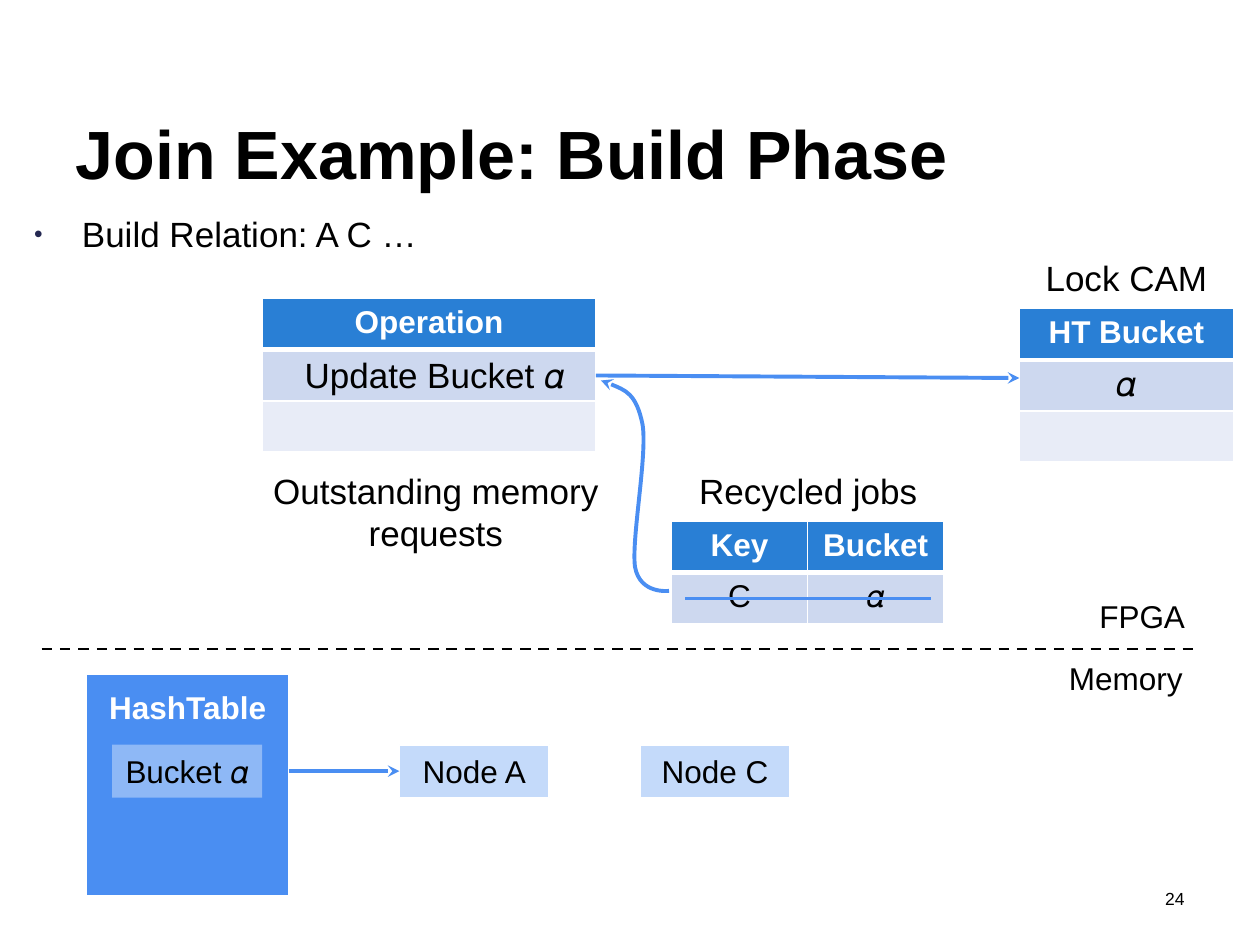
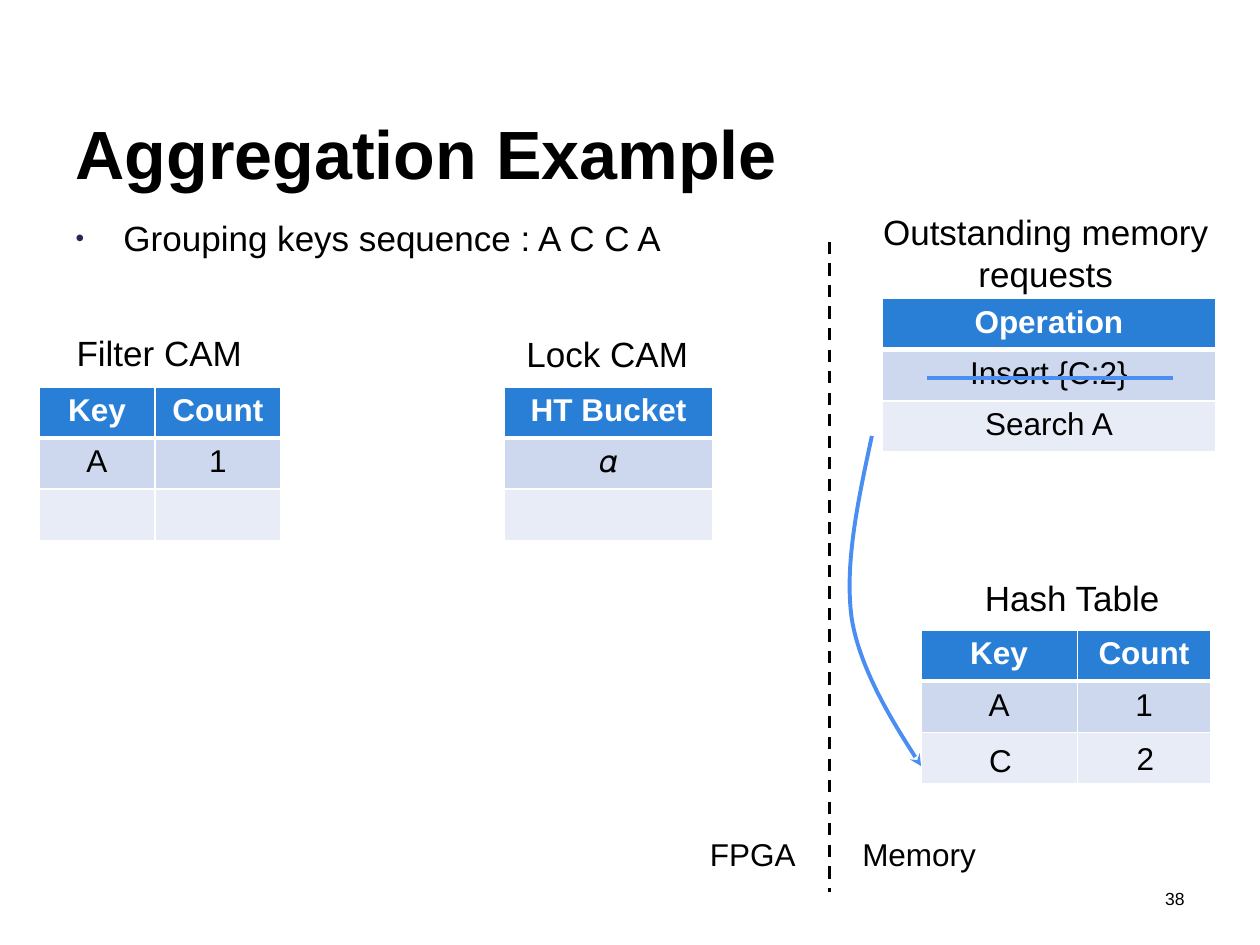
from lxml import etree
from pptx import Presentation
from pptx import util as u
from pptx.dml.color import RGBColor
from pptx.enum import dml, shapes, text
from pptx.oxml.ns import qn

COLORS = {"ink": "000000", "paper": "FFFFFF", "header": "297FD5", "odd": "CDD8EF",
          "even": "E8ECF7", "accent": "4A8EF2", "node": "ACCBF9", "bullet": "242852"}
FONT = "Arial"
ALPHA = "\U0001d6fc"
LEFT, CENTER, RIGHT = text.PP_ALIGN.LEFT, text.PP_ALIGN.CENTER, text.PP_ALIGN.RIGHT

deck = Presentation()
deck.slide_width, deck.slide_height = u.Inches(10), u.Inches(7.5)
# All lengths count grid units: 100 columns by 75 rows of equal squares
UNIT = deck.slide_width / 100


def write(frame, words, size=18, color="ink", bold=False, align=CENTER, anchor=None, inset=None):
    """Put one formatted paragraph into a text frame."""
    if anchor is not None:
        frame.vertical_anchor = anchor
        frame.word_wrap = True
        frame.auto_size = text.MSO_AUTO_SIZE.NONE
    if inset is not None:
        frame.margin_left = frame.margin_right = round(inset * UNIT)
    paragraph = frame.paragraphs[0]
    paragraph.alignment = align
    run = paragraph.add_run()
    run.text = words
    run.font.name, run.font.size, run.font.bold = FONT, u.Pt(size), bold
    run.font.color.rgb = RGBColor.from_string(COLORS[color])
    return paragraph


def draw_line(slide, points, color="accent", width=2.25, dash=False, arrow=False):
    """Join two points with a connector, or more with a chain of Bezier curves."""
    spots = [(round(x * UNIT), round(y * UNIT)) for x, y in points]
    if len(spots) == 2:
        line = slide.shapes.add_connector(shapes.MSO_CONNECTOR.STRAIGHT, *spots[0], *spots[1])
    else:
        builder = slide.shapes.build_freeform(*spots[0])
        builder.add_line_segments(spots[1:], close=False)
        line = builder.convert_to_shape()
        line.fill.background()
        steps = list(line._element.iter(qn("a:lnTo")))
        for first, *others in zip(steps[::3], steps[1::3], steps[2::3]):
            first.tag = qn("a:cubicBezTo")
            for step in others:
                first.append(step[0])
                step.getparent().remove(step)
    line.line.color.rgb = RGBColor.from_string(COLORS[color])
    line.line.width = u.Pt(width)
    if dash:
        line.line.dash_style = dml.MSO_LINE.DASH
    if arrow:
        etree.SubElement(line.line._get_or_add_ln(), qn("a:tailEnd"), type="stealth")
    etree.SubElement(line._element.spPr, qn("a:effectLst"))


# Content: boxes are (text, x, y, w, h, fill, alpha, outlined),
# tables (x, y, column widths, rows), labels (text, x, y, w, h, size, colour, bold)
build = {
    "title": "Join Example: Build Phase", "page": "24",
    "bullet": ("Build Relation: A C …", 1.7, 16.4),
    "tables": [
        (80.9, 24.5, [17], [["HT Bucket"], [""], [""]]),
        (20.8, 23.7, [26.5], [["Operation"], [""], [""]]),
        (53.3, 41.4, [10.8, 10.8], [["Key", "Bucket"], ["C", ALPHA]]),
    ],
    "boxes": [("", 6.8, 53.5, 16.1, 17.6, "accent", 100, True),
              (f"Bucket {ALPHA}", 8.9, 59.1, 11.9, 4.2, "node", 70, False),
              ("Node A", 31.7, 59.1, 11.9, 4.2, "node", 70, True),
              ("Node C", 50.8, 59.1, 11.9, 4.2, "node", 70, True)],
    "labels": [("Lock CAM", 81.9, 19.9, 15, 4.4, 20, "ink", False),
               ("HashTable", 7.6, 54.1, 14.6, 4, 18, "paper", True),
               ("Outstanding memory requests", 21.6, 36.8, 26, 7.7, 20, "ink", False),
               ("Recycled jobs", 54.4, 36.8, 19.5, 4.4, 20, "ink", False),
               ("FPGA", 86.2, 46.9, 8.9, 4, 18, "ink", False),
               ("Memory", 83.8, 51.8, 11.1, 4, 18, "ink", False),
               (f"Update Bucket {ALPHA}", 21.5, 27.6, 26, 4.4, 20, "ink", False),
               (ALPHA, 84.1, 28.2, 10.6, 4.4, 20, "ink", False)],
    "border": ([(3.3, 51.5), (95, 51.5)], 1.5),
    "arrows": [[(47.3, 29.8), (80.9, 30)],
               [(22.9, 61.2), (31.7, 61.2)],
               [(53.1, 46.9), (53.1, 46.9), (50.8, 47.2), (50.4, 45), (50.1, 42.8),
                (51.4, 36.1), (51, 33.7), (50.5, 31.2), (49.1, 30.7), (47.7, 30.2)]],
    "strike": [(54.4, 47.5), (73.9, 47.5)],
}
aggregation = {
    "title": "Aggregation Example", "page": "38",
    "bullet": ("Grouping keys sequence : A C C A", 5, 16.7),
    "tables": [
        (40, 30.7, [16.6], [["HT Bucket"], [ALPHA], [""]]),
        (3.1, 30.7, [9.2, 10], [["Key", "Count"], ["A", "1"], ["", ""]]),
        (73.1, 50, [12.4, 10.6], [["Key", "Count"], ["A", "1"], ["", ""]]),
        (70, 23.7, [26.5], [["Operation"], ["Insert {C:2}"], ["Search A"]]),
    ],
    "boxes": [],
    "labels": [("Filter CAM", 5, 25.8, 15.3, 4.4, 20, "ink", False),
               ("Lock CAM", 40.7, 25.9, 15, 4.4, 20, "ink", False),
               ("Hash Table", 77.1, 45.3, 16, 4.4, 20, "ink", False),
               ("Outstanding memory requests", 70, 16.2, 26, 7.7, 20, "ink", False),
               ("FPGA", 55.3, 65.8, 8.9, 4, 18, "ink", False),
               ("Memory", 67.4, 65.8, 11.1, 4, 18, "ink", False),
               ("C", 76.8, 58.3, 5.2, 4, 18, "ink", False),
               ("2", 88.3, 58.2, 5.2, 4, 18, "ink", False)],
    "border": ([(65.8, 19.2), (65.8, 70.8)], 1.75),
    "arrows": [[(69.2, 34.6), (68.1, 39.7), (67, 44.8), (67.6, 49.1),
                (68.3, 53.5), (73.1, 60.8), (73.1, 60.8)]],
    "strike": [(73.6, 30), (93.1, 30)],
}
ROW = 4.06

for content in (build, aggregation):
    slide = deck.slides.add_slide(deck.slide_layouts[1])

    # Title and bullet line
    title, body = slide.shapes.title, slide.placeholders[1]
    sentence, left, top = content["bullet"]
    for holder, box in ((title, (5, 7.5, 90, 8.3)), (body, (left, top, 90, 5.4))):
        holder.left, holder.top, holder.width, holder.height = [round(n * UNIT) for n in box]
    write(title.text_frame, content["title"], size=39, bold=True, align=LEFT,
          anchor=text.MSO_ANCHOR.BOTTOM)
    props = write(body.text_frame, sentence, size=20, align=LEFT,
                  anchor=text.MSO_ANCHOR.TOP)._p.get_or_add_pPr()
    props.set("marL", str(round(3.8 * UNIT)))
    props.set("indent", str(round(-3.8 * UNIT)))
    tint = etree.SubElement(props, qn("a:buClr"))
    etree.SubElement(tint, qn("a:srgbClr"), val=COLORS["bullet"])
    etree.SubElement(props, qn("a:buSzPct"), val="70000")
    etree.SubElement(props, qn("a:buFont"), typeface=FONT)
    etree.SubElement(props, qn("a:buChar"), char="•")

    # Tables: blue header, banded rows, white rules, thicker under the header
    for left, top, widths, rows in content["tables"]:
        place = [round(n * UNIT) for n in (left, top, sum(widths), ROW * len(rows))]
        table = slide.shapes.add_table(len(rows), len(widths), *place).table
        for column, width in zip(table.columns, widths):
            column.width = round(width * UNIT)
        for r, row in enumerate(rows):
            table.rows[r].height = round(ROW * UNIT)
            for c, words in enumerate(row):
                cell = table.cell(r, c)
                cell.fill.solid()
                cell.fill.fore_color.rgb = RGBColor.from_string(
                    COLORS[("header", "odd", "even")[r]])
                if words:
                    write(cell.text_frame, words, color="ink" if r else "paper", bold=r == 0)
                thick = {0: "lnB", 1: "lnT"}.get(r)
                for position, side in enumerate(("lnL", "lnR", "lnT", "lnB")):
                    rule = etree.Element(qn("a:" + side), w=str(u.Pt(3 if side == thick else 1)))
                    paint = etree.SubElement(rule, qn("a:solidFill"))
                    etree.SubElement(paint, qn("a:srgbClr"), val=COLORS["paper"])
                    cell._tc.get_or_add_tcPr().insert(position, rule)

    # Hash table and its nodes
    for words, left, top, width, height, fill, alpha, outlined in content["boxes"]:
        box = slide.shapes.add_shape(shapes.MSO_SHAPE.RECTANGLE,
                                     *[round(n * UNIT) for n in (left, top, width, height)])
        box.shadow.inherit = False
        box.fill.solid()
        box.fill.fore_color.rgb = RGBColor.from_string(COLORS[fill])
        if alpha < 100:
            shade = box._element.spPr.find(qn("a:solidFill"))[0]
            etree.SubElement(shade, qn("a:alpha"), val=str(alpha * 1000))
        if outlined:
            box.line.color.rgb = RGBColor.from_string(COLORS["paper"])
            box.line.width = u.Pt(1)
        else:
            box.line.fill.background()
        if words:
            write(box.text_frame, words, anchor=text.MSO_ANCHOR.MIDDLE, inset=0)

    # Captions and the page number
    for words, left, top, width, height, size, color, bold in content["labels"]:
        label = slide.shapes.add_textbox(*[round(n * UNIT) for n in (left, top, width, height)])
        write(label.text_frame, words, size=size, color=color, bold=bold,
              anchor=text.MSO_ANCHOR.TOP, inset=0)
    page = slide.shapes.add_textbox(*[round(n * UNIT) for n in (71.7, 70, 23.3, 3.3)])
    write(page.text_frame, content["page"], size=10, align=RIGHT, anchor=text.MSO_ANCHOR.TOP)

    # Border between FPGA and memory, data flow, finished job
    ends, width = content["border"]
    draw_line(slide, ends, color="ink", width=width, dash=True)
    for points in content["arrows"]:
        draw_line(slide, points, arrow=True)
    draw_line(slide, content["strike"])

deck.save("out.pptx")
